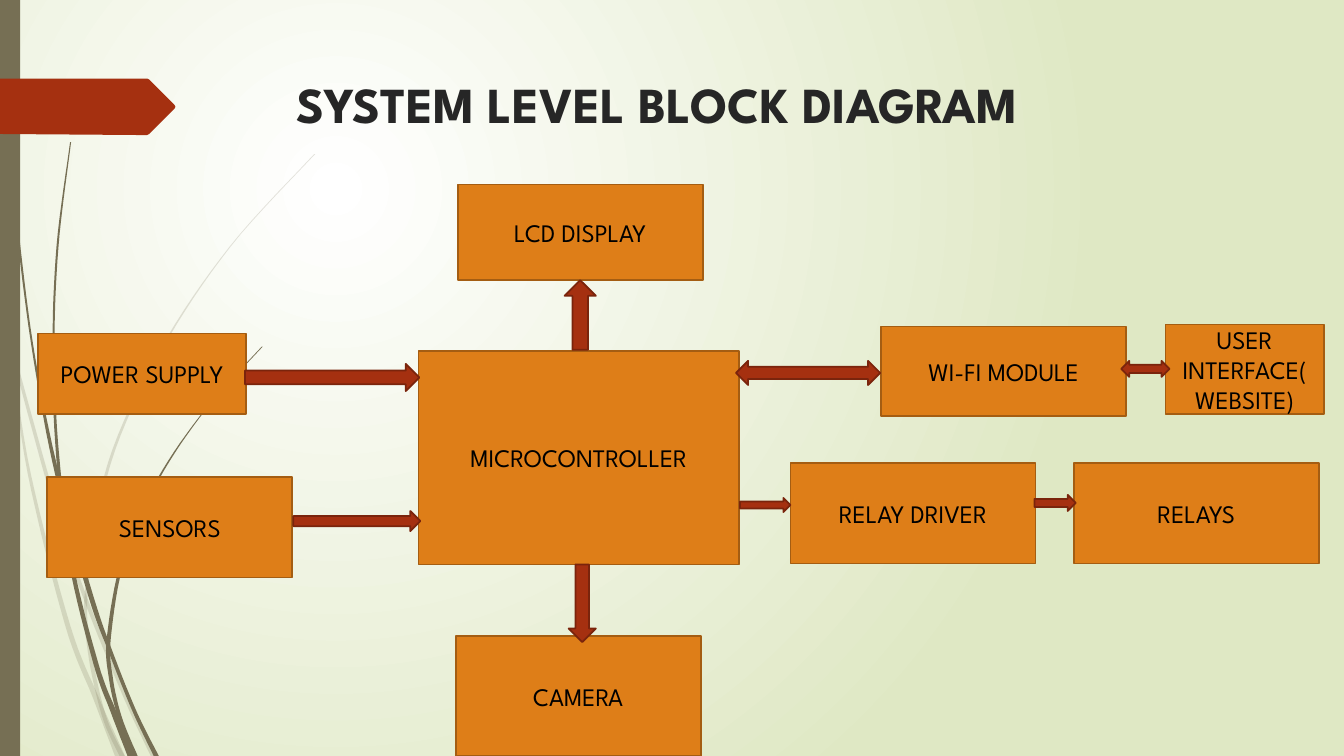
from dataclasses import dataclass
from typing import NamedTuple

from lxml.etree import SubElement
from pptx import Presentation
from pptx.dml.color import RGBColor
from pptx.enum.shapes import MSO_SHAPE as Preset
from pptx.enum.text import MSO_ANCHOR as Anchor, PP_ALIGN as Align
from pptx.oxml.ns import qn
from pptx.shapes.autoshape import Shape
from pptx.slide import Slide
from pptx.util import Inches, Pt


@dataclass(frozen=True)
class Theme:
    font: str = "League Spartan"
    title_size: int = 36
    block_size: int = 18
    line_width: float = 1.25
    title: str = "262626"
    text: str = "000000"
    block: str = "DE7E18"
    block_line: str = "A45D12"
    arrow: str = "A53010"
    arrow_line: str = "7A240C"
    stem: str = "766F54"
    glow: str = "FFFFFF"
    backdrop: str = "DFE8C4"


class Box(NamedTuple):
    left: float
    top: float
    width: float
    height: float


class Block(NamedTuple):
    label: str
    box: Box


class Arrow(NamedTuple):
    preset: Preset
    box: Box


class Stem(NamedTuple):
    """A curved blade through points of x, y and horizontal thickness."""
    points: list[tuple[float, float, float]]
    opacity: int = 100


THEME = Theme()
SLIDE_WIDTH, SLIDE_HEIGHT = 13.33, 7.5
CURVE_STEPS = 8
UNITS_PER_INCH = 1000

STEMS = [
    Stem([(0, 2.9, 0.01), (0.13, 3.5, 0.03), (0.6, 5.2, 0.04), (0.86, 5.97, 0.04),
          (1.25, 6.93, 0.04), (1.52, 7.5, 0.05)], 20),
    Stem([(0.11, 3.5, 0.01), (0.29, 4.7, 0.03), (0.67, 6.2, 0.05),
          (0.95, 6.92, 0.06), (1.19, 7.5, 0.1)], 20),
    Stem([(3.12, 1.53, 0.01), (2.28, 2.45, 0.01), (1.59, 3.48, 0.02), (1.08, 4.61, 0.03),
          (0.86, 5.84, 0.03), (0.89, 6.46, 0.04), (1.03, 7.1, 0.04), (1.21, 7.5, 0.05)], 20),
    Stem([(0.04, 0, 0.01), (0.07, 1.1, 0.01), (0.18, 2.33, 0.02), (0.34, 3.55, 0.02),
          (0.57, 4.72, 0.04), (0.9, 5.91, 0.05), (1.11, 6.5, 0.04), (1.34, 7.07, 0.04),
          (1.55, 7.5, 0.05)]),
    Stem([(0.7, 1.41, 0.01), (0.57, 2.45, 0.02), (0.53, 3.49, 0.02), (0.57, 4.5, 0.03),
          (0.7, 5.56, 0.04), (0.95, 6.58, 0.05), (1.13, 7.07, 0.06), (1.31, 7.5, 0.09)]),
    Stem([(2.6, 3.44, 0.01), (2.04, 4.06, 0.01), (1.57, 4.75, 0.02), (1.23, 5.51, 0.03),
          (1.08, 6.32, 0.04), (1.1, 6.73, 0.04), (1.19, 7.12, 0.04), (1.34, 7.5, 0.05)]),
]

BLOCKS = [
    Block("POWER SUPPLY", Box(0.38, 3.31, 2.06, 0.8)),
    Block("MICROCONTROLLER", Box(4.15, 3.48, 3.18, 2.12)),
    Block("CAMERA", Box(4.52, 6.31, 2.43, 1.19)),
    Block("RELAY DRIVER", Box(7.84, 4.59, 2.43, 1)),
    Block("SENSORS", Box(0.47, 4.73, 2.43, 1)),
    Block("RELAYS", Box(10.65, 4.59, 2.43, 1)),
    Block("WI-FI MODULE", Box(8.74, 3.24, 2.43, 0.89)),
    Block("LCD DISPLAY", Box(4.54, 1.83, 2.43, 0.95)),
    Block("USER INTERFACE(WEBSITE)", Box(11.56, 3.22, 1.57, 0.89)),
]

ARROWS = [
    Arrow(Preset.UP_ARROW, Box(5.6, 2.78, 0.31, 0.69)),
    Arrow(Preset.RIGHT_ARROW, Box(2.43, 3.61, 1.73, 0.27)),
    Arrow(Preset.RIGHT_ARROW, Box(2.91, 5.07, 1.26, 0.2)),
    Arrow(Preset.RIGHT_ARROW, Box(7.34, 4.94, 0.5, 0.14)),
    Arrow(Preset.RIGHT_ARROW, Box(10.26, 4.91, 0.41, 0.16)),
    Arrow(Preset.LEFT_RIGHT_ARROW, Box(7.3, 3.58, 1.43, 0.24)),
    Arrow(Preset.LEFT_RIGHT_ARROW, Box(11.12, 3.58, 0.48, 0.16)),
    Arrow(Preset.DOWN_ARROW, Box(5.64, 5.6, 0.27, 0.77)),
]

BANNER = [(0, 0.78), (1.46, 0.78), (1.48, 0.79), (1.73, 1.04), (1.74, 1.06),
          (1.73, 1.08), (1.48, 1.33), (1.46, 1.34), (1.36, 1.34), (0, 1.33)]


def paint(shape: Shape, fill: str, line: str | None = None) -> None:
    shape.shadow.inherit = False
    shape.fill.solid()
    shape.fill.fore_color.rgb = RGBColor.from_string(fill)
    if line is None:
        shape.line.fill.background()
    else:
        shape.line.color.rgb = RGBColor.from_string(line)
        shape.line.width = Pt(THEME.line_width)


def write(shape: Shape, text: str, color: str, font_format: dict,
          frame_format: dict, align: Align) -> None:
    frame = shape.text_frame
    for name, value in {"word_wrap": True, **frame_format}.items():
        setattr(frame, name, value)
    paragraph = frame.paragraphs[0]
    paragraph.alignment = align
    run = paragraph.add_run()
    run.text = text
    for name, value in {"name": THEME.font, **font_format}.items():
        setattr(run.font, name, value)
    run.font.color.rgb = RGBColor.from_string(color)


def add_preset(slide: Slide, preset: Preset, box: Box, fill: str,
               line: str | None = None) -> Shape:
    shape = slide.shapes.add_shape(preset, *map(Inches, box))
    paint(shape, fill, line)
    return shape


def add_outline(slide: Slide, points: list[tuple[float, float]], fill: str) -> Shape:
    scaled = [(round(x * UNITS_PER_INCH), round(y * UNITS_PER_INCH)) for x, y in points]
    builder = slide.shapes.build_freeform(*scaled[0], scale=Inches(1) / UNITS_PER_INCH)
    builder.add_line_segments(scaled[1:], close=True)
    shape = builder.convert_to_shape()
    paint(shape, fill)
    return shape


def smooth(points: list[tuple[float, float, float]]) -> list[tuple[float, ...]]:
    """Sample a Catmull-Rom curve through the points."""
    padded = [points[0], *points, points[-1]]
    samples = []
    for before, start, end, after in zip(padded, padded[1:], padded[2:], padded[3:]):
        for step in range(CURVE_STEPS):
            t = step / CURVE_STEPS
            samples.append(tuple(
                b + t * ((c - a) + t * ((2 * a - 5 * b + 4 * c - d)
                                        + t * (3 * b - a - 3 * c + d))) / 2
                for a, b, c, d in zip(before, start, end, after)))
    return [*samples, points[-1]]


def add_stem(slide: Slide, stem: Stem) -> None:
    curve = smooth(stem.points)
    left_edge = [(x - thickness / 2, y) for x, y, thickness in curve]
    right_edge = [(x + thickness / 2, y) for x, y, thickness in reversed(curve)]
    shape = add_outline(slide, left_edge + right_edge, THEME.stem)
    if stem.opacity < 100:
        color = shape.fill._xPr.find(f".//{qn('a:srgbClr')}")
        SubElement(color, qn("a:alpha"), val=str(stem.opacity * 1000))


def add_backdrop(slide: Slide) -> None:
    """Fill the background with a glow centred in its upper left quarter."""
    fill = slide.background.fill
    fill.gradient()
    for stop, position, color in zip(fill.gradient_stops, (0, 1), (THEME.glow, THEME.backdrop)):
        stop.position = position
        stop.color.rgb = RGBColor.from_string(color)
    gradient = slide.element.find(f".//{qn('a:gradFill')}")
    gradient.remove(gradient.find(qn("a:lin")))
    circle = SubElement(gradient, qn("a:path"), path="circle")
    SubElement(circle, qn("a:fillToRect"), l="50000", t="50000", r="100000", b="100000")


def main() -> None:
    presentation = Presentation()
    presentation.slide_width = Inches(SLIDE_WIDTH)
    presentation.slide_height = Inches(SLIDE_HEIGHT)
    slide = presentation.slides.add_slide(presentation.slide_layouts[6])

    add_backdrop(slide)
    for stem in STEMS:
        add_stem(slide, stem)
    add_preset(slide, Preset.RECTANGLE, Box(0, 0, 0.2, SLIDE_HEIGHT), THEME.stem)
    add_outline(slide, BANNER, THEME.arrow)

    title = slide.shapes.add_textbox(*map(Inches, Box(2.84, 0.68, 9.75, 1.4)))
    write(title, "SYSTEM LEVEL BLOCK DIAGRAM", THEME.title,
          {"size": Pt(THEME.title_size), "bold": True},
          {"vertical_anchor": Anchor.TOP}, Align.LEFT)
    for block in BLOCKS:
        shape = add_preset(slide, Preset.RECTANGLE, block.box, THEME.block, THEME.block_line)
        write(shape, block.label, THEME.text, {"size": Pt(THEME.block_size)},
              {"vertical_anchor": Anchor.MIDDLE}, Align.CENTER)
    for arrow in ARROWS:
        add_preset(slide, arrow.preset, arrow.box, THEME.arrow, THEME.arrow_line)

    presentation.save("out.pptx")


if __name__ == "__main__":
    main()
